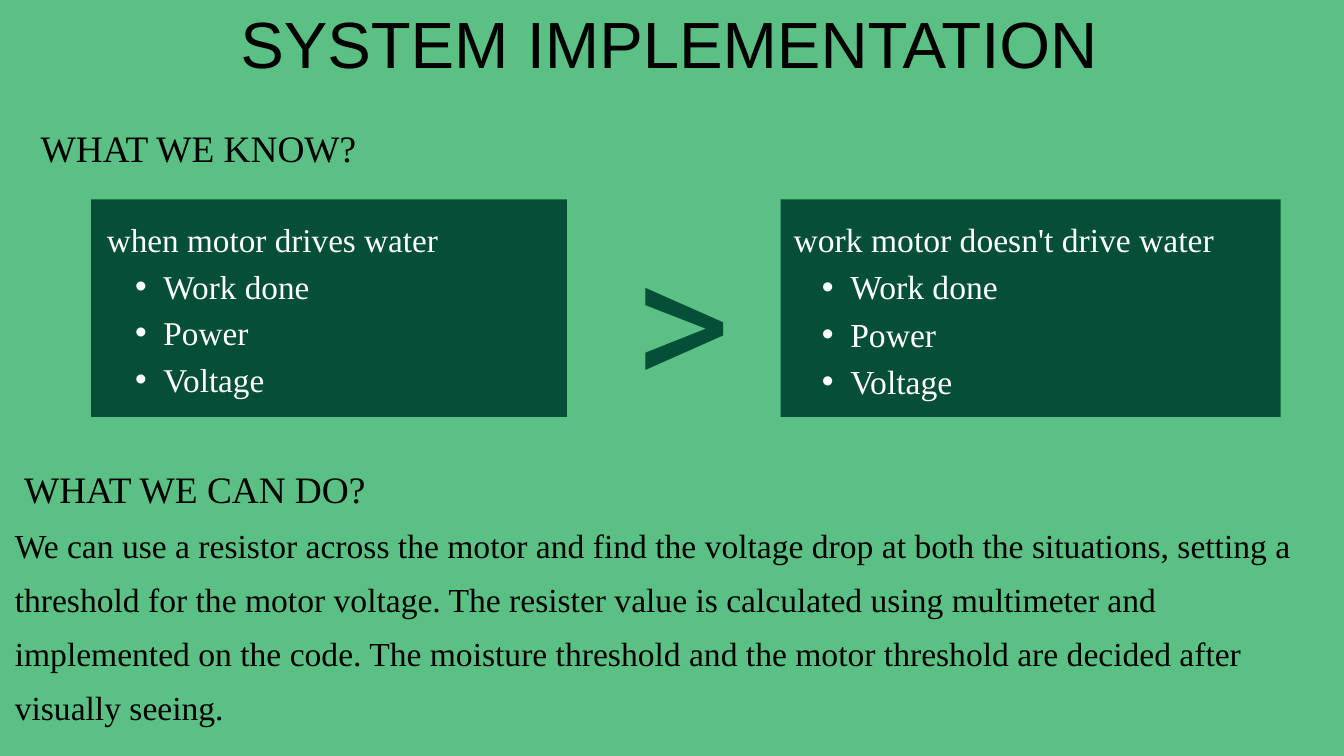
from lxml import etree
from pptx import Presentation
from pptx import util as u
from pptx.dml.color import RGBColor
from pptx.enum import shapes, text
from pptx.oxml.ns import qn

GREEN, DARK, BLACK, WHITE = "5BC084", "054F38", "000000", "FFFFFF"
SERIF = "Times New Roman"
EFFECTS = ["Work done", "Power", "Voltage"]
ACTION = (
    "We can use a resistor across the motor and find the voltage drop at both "
    "the situations, setting a threshold for the motor voltage. The resister "
    "value is calculated using multimeter and implemented on the code. The "
    "moisture threshold and the motor threshold are decided after visually seeing."
)


def paint(color_format, color):
    color_format.rgb = RGBColor.from_string(color)


def prepare_frame(frame):
    frame.margin_left = frame.margin_top = frame.margin_right = frame.margin_bottom = 0
    frame.word_wrap = True
    frame.auto_size = text.MSO_AUTO_SIZE.NONE
    frame.vertical_anchor = text.MSO_ANCHOR.TOP
    return frame


def add_frame(slide, box):
    return prepare_frame(slide.shapes.add_textbox(*map(u.Cm, box)).text_frame)


def write(paragraph, words, size, spacing, color, font=SERIF, align=text.PP_ALIGN.LEFT):
    paragraph.text = words
    paragraph.alignment = align
    paragraph.line_spacing = u.Pt(spacing)
    paragraph.font.size = u.Pt(size)
    paragraph.font.name = font
    paint(paragraph.font.color, color)


def indent(paragraph, margin, first_line=0):
    properties = paragraph._p.get_or_add_pPr()
    properties.set("marL", str(u.Cm(margin)))
    properties.set("indent", str(u.Cm(first_line)))
    return properties


def add_title(slide, box, words):
    title = slide.shapes.title
    title.left, title.top, title.width, title.height = map(u.Cm, box)
    frame = prepare_frame(title.text_frame)
    write(frame.paragraphs[0], words, 70, 98, BLACK, "Arial", text.PP_ALIGN.CENTER)


def add_heading(slide, box, words):
    paragraph = add_frame(slide, box).paragraphs[0]
    indent(paragraph, 0.35)
    write(paragraph, words, 40, 64, BLACK, align=text.PP_ALIGN.JUSTIFY)


def add_panel(slide, box, heading, size, inset, text_width):
    left, top, width, height = box
    panel = slide.shapes.add_shape(shapes.MSO_SHAPE.RECTANGLE, *map(u.Cm, box))
    panel.shadow.inherit = False
    panel.fill.solid()
    paint(panel.fill.fore_color, DARK)
    panel.line.fill.background()

    frame = add_frame(slide, (left + inset, top + 0.5, text_width, height - 1.26))
    write(frame.paragraphs[0], heading, size, size * 1.4, WHITE)
    for effect in EFFECTS:
        paragraph = frame.add_paragraph()
        paragraph.level = 1
        properties = indent(paragraph, 2.14, -1.07)
        etree.SubElement(properties, qn("a:buFont"), typeface="Arial")
        etree.SubElement(properties, qn("a:buChar"), char="•")
        write(paragraph, effect, size, size * 1.4, WHITE)


def add_comparison(slide, box):
    paragraph = add_frame(slide, box).paragraphs[0]
    write(paragraph, ">", 200, 280, DARK, "Roboto", text.PP_ALIGN.CENTER)


def add_action(slide, box, heading, body):
    frame = add_frame(slide, box)
    indent(frame.paragraphs[0], 0.35)
    write(frame.paragraphs[0], heading, 40, 64.4, BLACK)
    write(frame.add_paragraph(), body, 36, 58, BLACK)


def main():
    presentation = Presentation()
    presentation.slide_width = u.Cm(50.8)
    presentation.slide_height = u.Cm(28.58)
    slide = presentation.slides.add_slide(presentation.slide_layouts[5])
    slide.background.fill.solid()
    paint(slide.background.fill.fore_color, GREEN)

    add_title(slide, (4.93, -0.38, 40.72, 3.33), "SYSTEM IMPLEMENTATION")
    add_heading(slide, (1.19, 4.17, 48.21, 2.13), "WHAT WE KNOW?")
    add_panel(slide, (3.45, 7.54, 17.98, 8.22), "when motor drives water", 35.6, 0.59, 17.78)
    add_panel(slide, (29.51, 7.54, 18.9, 8.22), "work motor doesn't drive water", 36, 0.49, 18.41)
    add_comparison(slide, (23.47, 6.22, 4.65, 9.53))
    add_action(slide, (0.56, 17.04, 48.34, 10.31), "WHAT WE CAN DO?", ACTION)

    presentation.save("out.pptx")


if __name__ == "__main__":
    main()
